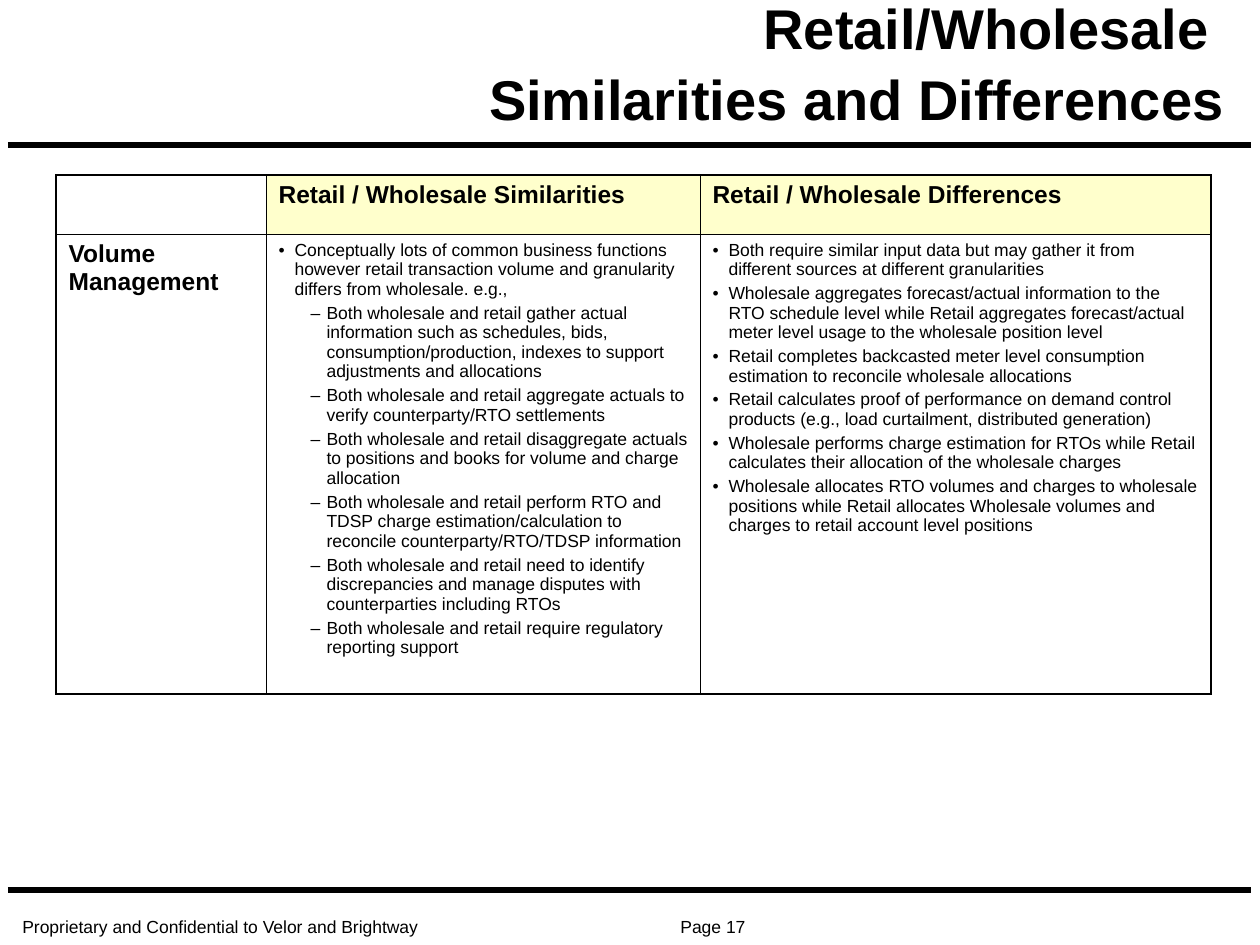
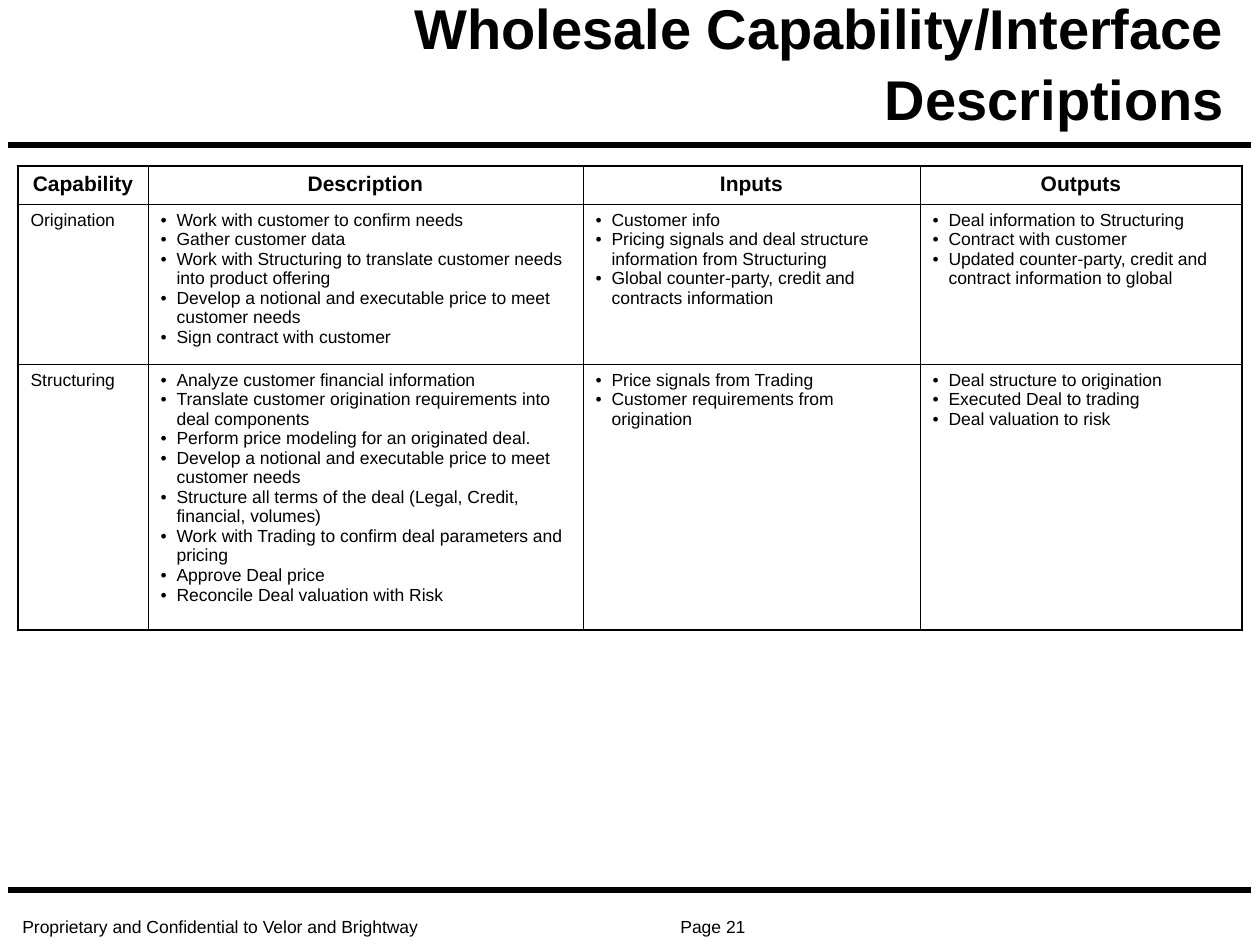
"""Builds two slides comparing retail and wholesale energy capabilities."""
from lxml import etree
from pptx import Presentation
from pptx.dml.color import RGBColor
from pptx.enum.shapes import MSO_CONNECTOR
from pptx.enum.text import MSO_ANCHOR, PP_ALIGN
from pptx.oxml.ns import qn
from pptx.util import Pt

EMU_PER_PX = 914400 / 126
FONT = "Arial"
COLORS = {"ink": "000000", "paper": "FFFFFF", "header": "FFFFCC"}
STRAIGHT = MSO_CONNECTOR.STRAIGHT
LEFT, CENTER, RIGHT = PP_ALIGN.LEFT, PP_ALIGN.CENTER, PP_ALIGN.RIGHT
BOTTOM = MSO_ANCHOR.BOTTOM
OUTER_BORDER, INNER_BORDER = 1.08, 0.45
BULLETS = ["•", "–"]
BULLET_INDENTS = [16, 48]
HANGING = 16
FOOTER_TAB = 723

SIMILARITIES = [
    "Conceptually lots of common business functions however retail transaction volume "
    "and granularity differs from wholesale. e.g.,",
    [
        "Both wholesale and retail gather actual information such as schedules, bids, "
        "consumption/production, indexes to support adjustments and allocations",
        "Both wholesale and retail aggregate actuals to verify counterparty/RTO settlements",
        "Both wholesale and retail disaggregate actuals to positions and books for volume "
        "and charge allocation",
        "Both wholesale and retail perform RTO and TDSP charge estimation/calculation to "
        "reconcile counterparty/RTO/TDSP information",
        "Both wholesale and retail need to identify discrepancies and manage disputes with "
        "counterparties including RTOs",
        "Both wholesale and retail require regulatory reporting support",
    ],
]
DIFFERENCES = [
    "Both require similar input data but may gather it from different sources at "
    "different granularities",
    "Wholesale aggregates forecast/actual information to the RTO schedule level while "
    "Retail aggregates forecast/actual meter level usage to the wholesale position level",
    "Retail completes backcasted meter level consumption estimation to reconcile "
    "wholesale allocations",
    "Retail calculates proof of performance on demand control products (e.g., load "
    "curtailment, distributed generation)",
    "Wholesale performs charge estimation for RTOs while Retail calculates their "
    "allocation of the wholesale charges",
    "Wholesale allocates RTO volumes and charges to wholesale positions while Retail "
    "allocates Wholesale volumes and charges to retail account level positions",
]
COMPARISON = [
    ["", "Retail / Wholesale Similarities", "Retail / Wholesale Differences"],
    ["Volume Management", SIMILARITIES, DIFFERENCES],
]
CAPABILITIES = [
    ["Capability", "Description", "Inputs", "Outputs"],
    [
        "Origination",
        [
            "Work with customer to confirm needs",
            "Gather customer data",
            "Work with Structuring to translate customer needs into product offering",
            "Develop a notional and executable price to meet customer needs",
            "Sign contract with customer",
        ],
        [
            "Customer info",
            "Pricing signals and deal structure information from Structuring",
            "Global counter-party, credit and contracts information",
        ],
        [
            "Deal information to Structuring",
            "Contract with customer",
            "Updated counter-party, credit and contract information to global",
        ],
    ],
    [
        "Structuring",
        [
            "Analyze customer financial information",
            "Translate customer origination requirements into deal components",
            "Perform price modeling for an originated deal.",
            "Develop a notional and executable price to meet customer needs",
            "Structure all terms of the deal (Legal, Credit, financial, volumes)",
            "Work with Trading to confirm deal parameters and pricing",
            "Approve Deal price",
            "Reconcile Deal valuation with Risk",
        ],
        ["Price signals from Trading", "Customer requirements from origination"],
        ["Deal structure to origination", "Executed Deal to trading", "Deal valuation to risk"],
    ],
]


def px(length):
    """Turn pixels into EMU."""
    return round(length * EMU_PER_PX)


def color(name):
    """Look up a named colour."""
    return RGBColor.from_string(COLORS[name])


def add_run(paragraph, text, size, bold=False):
    """Add one styled run to a paragraph."""
    run = paragraph.add_run()
    run.text = text
    run.font.name = FONT
    run.font.size = Pt(size)
    run.font.bold = bold
    run.font.color.rgb = color("ink")


def add_text_box(slide, left, top, width, height):
    """Add a wrapping, bottom-anchored box and return its first paragraph."""
    frame = slide.shapes.add_textbox(px(left), px(top), px(width), px(height)).text_frame
    frame.word_wrap = True
    frame.vertical_anchor = BOTTOM
    return frame.paragraphs[0]


def add_title(slide, lines):
    """Add the right-aligned slide title."""
    paragraph = add_text_box(slide, 354, 49, 883, 89)
    paragraph.alignment = RIGHT
    paragraph.line_spacing = 1.06
    for index, line in enumerate(lines):
        if index:
            paragraph.add_line_break()
        add_run(paragraph, line, 32, True)


def add_rule(slide, y):
    """Add a thick horizontal rule across the slide."""
    rule = slide.shapes.add_connector(STRAIGHT, px(8), px(y), px(1251), px(y))
    rule.line.color.rgb = color("ink")
    rule.line.width = Pt(3)
    etree.SubElement(rule._element.spPr, qn("a:effectLst"))


def add_footer(slide, page):
    """Add the confidentiality notice and page number."""
    paragraph = add_text_box(slide, 10, 914, 766, 29)
    tabs = etree.SubElement(paragraph._p.get_or_add_pPr(), qn("a:tabLst"))
    etree.SubElement(tabs, qn("a:tab"), pos=str(px(FOOTER_TAB)), algn="r")
    paragraph.line_spacing = 0.8
    add_run(paragraph, f"Proprietary and Confidential to Velor and Brightway\tPage {page}", 10)


def set_bullet(paragraph, level):
    """Give a paragraph the bullet and hanging indent of its level."""
    properties = paragraph._p.get_or_add_pPr()
    properties.set("marL", str(px(BULLET_INDENTS[level])))
    properties.set("indent", str(-px(HANGING)))
    bullet_color = etree.SubElement(properties, qn("a:buClr"))
    etree.SubElement(bullet_color, qn("a:srgbClr"), val=COLORS["ink"])
    etree.SubElement(properties, qn("a:buFont"), typeface=FONT)
    etree.SubElement(properties, qn("a:buChar"), char=BULLETS[level])
    paragraph.level = level


def add_bullets(frame, items, gap, level=0):
    """Write a bullet list, with nested lists one level deeper."""
    for item in items:
        if isinstance(item, list):
            add_bullets(frame, item, gap, level + 1)
            continue
        first = not frame.text
        paragraph = frame.paragraphs[0] if first else frame.add_paragraph()
        set_bullet(paragraph, level)
        paragraph.space_before = Pt(0 if first else gap)
        add_run(paragraph, item, 10)


def set_borders(cell, outer_sides):
    """Draw four cell borders, heavier on the outer sides."""
    properties = cell._tc.get_or_add_tcPr()
    for side in "LRTB":
        weight = OUTER_BORDER if side in outer_sides else INNER_BORDER
        border = etree.SubElement(properties, qn(f"a:ln{side}"), w=str(Pt(weight)))
        fill = etree.SubElement(border, qn("a:solidFill"))
        etree.SubElement(fill, qn("a:srgbClr"), val=COLORS["ink"])


def fill_cell(cell, content, size, bold, alignment, gap):
    """Write a label or a bullet list into a cell."""
    if isinstance(content, list):
        add_bullets(cell.text_frame, content, gap)
    elif content:
        paragraph = cell.text_frame.paragraphs[0]
        paragraph.alignment = alignment
        add_run(paragraph, content, size, bold)


def add_grid(slide, left, top, widths, heights, rows, header_size, label_size,
             header_alignment=LEFT, header_fill="paper", gap=0):
    """Add a bordered table with a bold header row."""
    table = slide.shapes.add_table(
        len(rows), len(widths), px(left), px(top), px(sum(widths)), px(sum(heights))
    ).table
    table.first_row = table.horz_banding = False
    for column, width in zip(table.columns, widths):
        column.width = px(width)
    for row, height in zip(table.rows, heights):
        row.height = px(height)
    last_row, last_column = len(rows) - 1, len(widths) - 1
    for row_index, row in enumerate(rows):
        is_header = row_index == 0
        size = header_size if is_header else label_size
        alignment = header_alignment if is_header else LEFT
        for column_index, content in enumerate(row):
            cell = table.cell(row_index, column_index)
            edges = {"L": column_index == 0, "R": column_index == last_column,
                     "T": is_header, "B": row_index == last_row}
            set_borders(cell, [side for side, is_outer in edges.items() if is_outer])
            cell.fill.solid()
            cell.fill.fore_color.rgb = color(header_fill if is_header and content else "paper")
            fill_cell(cell, content, size, size > 10, alignment, gap)


def add_page(presentation, title_lines, page):
    """Add a slide with the shared title, rules and footer."""
    slide = presentation.slides.add_slide(presentation.slide_layouts[6])
    add_footer(slide, page)
    for y in (145, 890):
        add_rule(slide, y)
    add_title(slide, title_lines)
    return slide


def main():
    """Build and save the presentation."""
    presentation = Presentation()
    presentation.slide_width, presentation.slide_height = px(1260), px(945)
    slide = add_page(presentation, ["Retail/Wholesale ", "Similarities and Differences"], 17)
    add_grid(slide, 56, 175, [210, 434, 511], [59, 460], COMPARISON,
             header_size=14, label_size=14, header_fill="header", gap=2.5)
    slide = add_page(presentation, ["Wholesale Capability/Interface Descriptions"], 21)
    add_grid(slide, 18, 166, [130, 435, 337, 322], [38, 160, 266], CAPABILITIES,
             header_size=12, label_size=10, header_alignment=CENTER)
    presentation.save("out.pptx")


if __name__ == "__main__":
    main()
